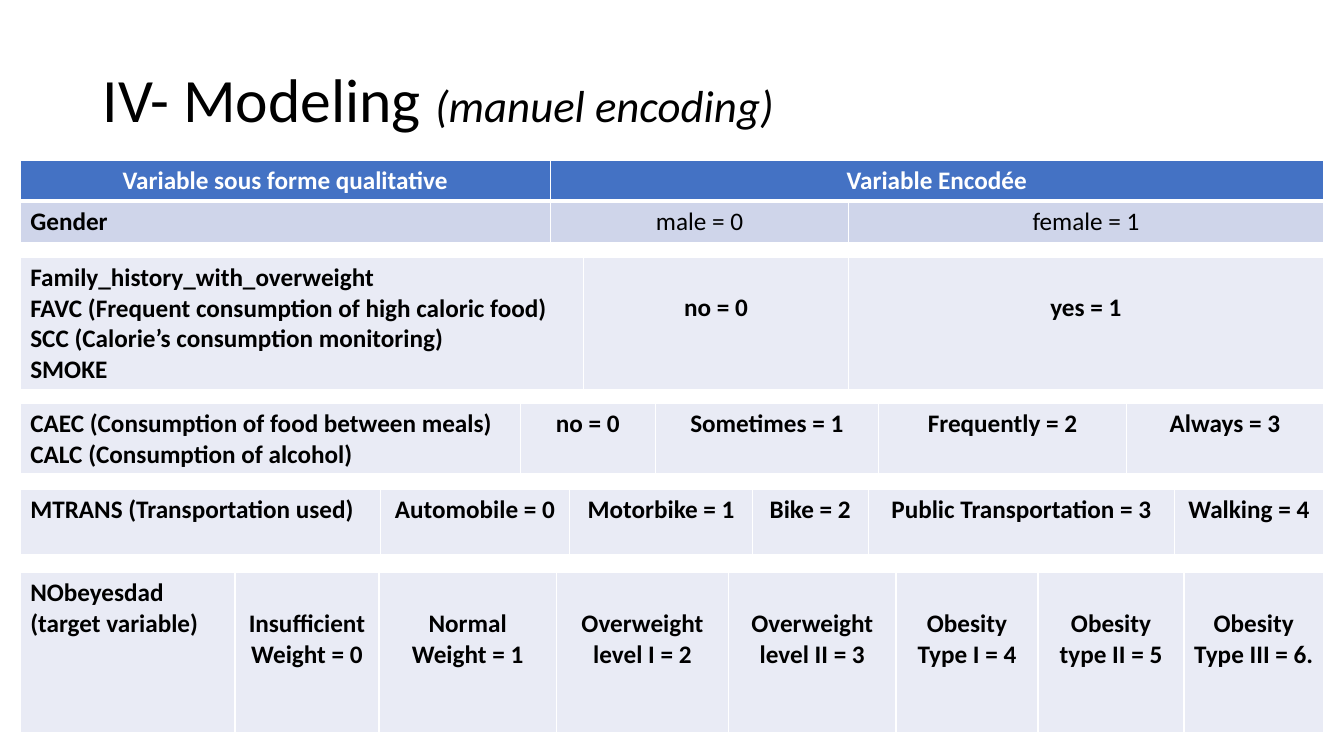
import pptx
import pptx.dml.color
import pptx.enum.text
import pptx.oxml
import pptx.oxml.ns
import pptx.util

Cm = pptx.util.Cm
Pt = pptx.util.Pt
ALIGN = pptx.enum.text.PP_ALIGN
TABLE_LEFT = 0.51
TABLE_WIDTH = 32.84
HEADER_BLUE, GENDER_BLUE, PALE_BLUE = "4472C4", "CFD5EA", "E9EBF5"
BLACK, WHITE = "000000", "FFFFFF"


def colour(hex_value):
    return pptx.dml.color.RGBColor.from_string(hex_value)


def apply_format(target, values):
    for name, value in values.items():
        setattr(target, name, value)


def add_run(paragraph, wording, ink=BLACK, **font_values):
    run = paragraph.add_run()
    run.text = wording
    apply_format(run.font, {"name": "Calibri", **font_values})
    run.font.color.rgb = colour(ink)


def set_borders(cell, bottom_width):
    properties = cell._tc.get_or_add_tcPr()
    widths = {"lnL": 1, "lnR": 1, "lnT": 1, "lnB": bottom_width}
    for position, (side, width) in enumerate(widths.items()):
        border = pptx.oxml.parse_xml(
            f'<a:{side} {pptx.oxml.ns.nsdecls("a")} w="{Pt(width)}">'
            f'<a:solidFill><a:srgbClr val="{WHITE}"/></a:solidFill></a:{side}>'
        )
        properties.insert(position, border)


def fill_cell(cell, wording, fill=PALE_BLUE, ink=BLACK, bold=True,
              align=ALIGN.CENTER, margin_top=0.13, bottom_width=3):
    cell.fill.solid()
    cell.fill.fore_color.rgb = colour(fill)
    cell.margin_top = Cm(margin_top)
    set_borders(cell, bottom_width)
    frame = cell.text_frame
    for index, line in enumerate(wording.split("\n")):
        paragraph = frame.add_paragraph() if index else frame.paragraphs[0]
        paragraph.alignment = align
        add_run(paragraph, line, ink, size=Pt(18), bold=bold)


def add_grid(slide, top, height, leading_widths, row_count=1):
    widths = leading_widths + [TABLE_WIDTH - sum(leading_widths)]
    grid = slide.shapes.add_table(
        row_count, len(widths), Cm(TABLE_LEFT), Cm(top), Cm(TABLE_WIDTH), Cm(height)
    ).table
    for column, width in zip(grid.columns, widths):
        column.width = Cm(width)
    return grid


def add_gender_table(slide):
    grid = add_grid(slide, 4.04, 2.04, [13.36, 7.52], row_count=2)
    grid.cell(0, 1).merge(grid.cell(0, 2))
    for column, heading in enumerate(["Variable sous forme qualitative", "Variable Encodée"]):
        fill_cell(grid.cell(0, column), heading, HEADER_BLUE, WHITE)
    fill_cell(grid.cell(1, 0), "Gender", GENDER_BLUE, align=ALIGN.LEFT, bottom_width=1)
    for column, code in enumerate(["male = 0", "female = 1"], start=1):
        fill_cell(grid.cell(1, column), code, GENDER_BLUE, bold=False, bottom_width=1)


def add_variable_table(slide, top, height, leading_widths, variable, codes, code_margin=0.13):
    grid = add_grid(slide, top, height, leading_widths)
    fill_cell(grid.cell(0, 0), variable, align=ALIGN.LEFT)
    for column, code in enumerate(codes, start=1):
        fill_cell(grid.cell(0, column), code, margin_top=code_margin)


def add_title(slide):
    title = slide.shapes.title
    apply_format(title, {"left": Cm(2.34), "top": Cm(0.74),
                         "width": Cm(29.21), "height": Cm(3.68)})
    apply_format(title.text_frame, {
        "vertical_anchor": pptx.enum.text.MSO_ANCHOR.MIDDLE,
        "auto_size": pptx.enum.text.MSO_AUTO_SIZE.NONE,
        "word_wrap": True,
    })
    heading = title.text_frame.paragraphs[0]
    apply_format(heading, {"alignment": ALIGN.LEFT, "line_spacing": 0.9})
    add_run(heading, "IV- Modeling ", size=Pt(44))
    add_run(heading, "(manuel encoding)", size=Pt(32), italic=True)


def main():
    deck = pptx.Presentation()
    apply_format(deck, {"slide_width": Cm(33.87), "slide_height": Cm(19.05)})
    slide = deck.slides.add_slide(deck.slide_layouts[5])
    add_title(slide)
    add_gender_table(slide)
    add_variable_table(
        slide, 6.48, 3.32, [14.2, 6.67],
        "Family_history_with_overweight\n"
        "FAVC (Frequent consumption of high caloric food)\n"
        "SCC (Calorie’s consumption monitoring)\n"
        "SMOKE",
        ["no = 0", "yes = 1"], code_margin=0.9)
    add_variable_table(
        slide, 10.16, 1.77, [12.6, 3.4, 5.63, 6.25],
        "CAEC (Consumption of food between meals)\nCALC (Consumption of alcohol)",
        ["no = 0", "Sometimes = 1", "Frequently = 2", "Always = 3"])
    add_variable_table(
        slide, 12.34, 1.67, [9.07, 4.78, 4.6, 2.92, 7.72],
        "MTRANS (Transportation used)",
        ["Automobile = 0", "Motorbike = 1", "Bike = 2",
         "Public Transportation = 3", "Walking = 4"])
    add_variable_table(
        slide, 14.43, 4.07, [5.41, 3.63, 4.47, 4.34, 4.22, 3.58, 3.68],
        "NObeyesdad (target variable)",
        ["Insufficient Weight = 0", "Normal\nWeight = 1",
         "Overweight level I = 2", "Overweight level II = 3",
         "Obesity Type I = 4", "Obesity type II = 5", "Obesity Type III = 6."],
        code_margin=0.9)
    deck.save("out.pptx")


if __name__ == "__main__":
    main()
